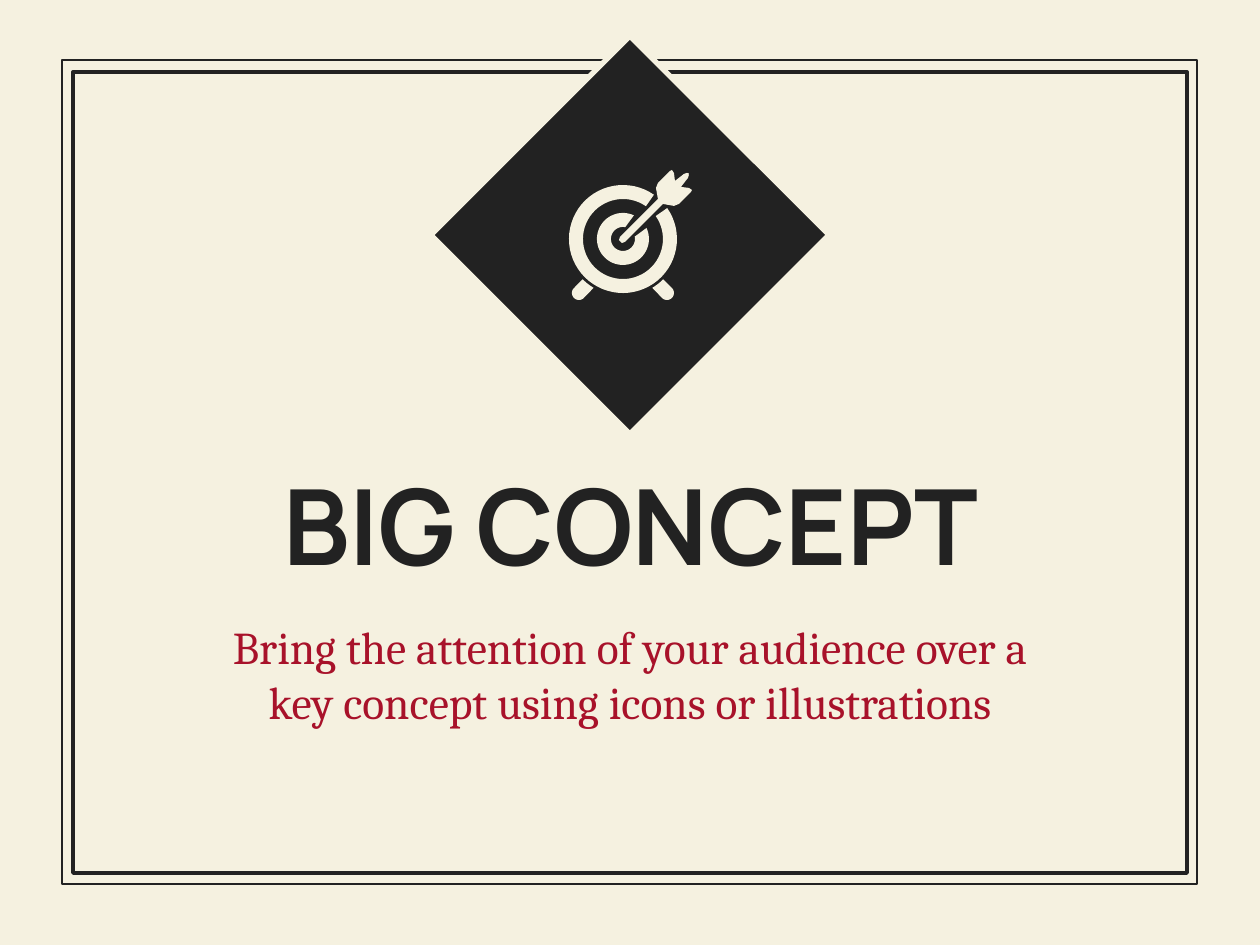
from dataclasses import dataclass
from math import cos, radians, sin

from pptx import Presentation
from pptx.dml.color import RGBColor
from pptx.enum.shapes import MSO_SHAPE as SHAPE
from pptx.enum.text import MSO_ANCHOR as ANCHOR, MSO_AUTO_SIZE as FIT, PP_ALIGN as ALIGN
from pptx.util import Emu, Pt

W, H = 1260, 945
CX, CY = 623, 239


def px(v):
    """Turn pixels into EMU."""
    return Emu(round(v * 914400 / 126))


def color(value):
    """Turn a hex string into a colour."""
    return RGBColor.from_string(value)


def arc(r, start, end, cx=CX, cy=CY, steps=60):
    """Return points along an arc, with angles in degrees clockwise from east."""
    angles = [radians(start + (end - start) * i / steps) for i in range(steps + 1)]
    return [(cx + r * cos(a), cy + r * sin(a)) for a in angles]


def ring(outer, inner, outer_gap, inner_gap):
    """Return a ring that is open towards the upper right."""
    return (arc(outer, -45 + outer_gap, 315 - outer_gap)
            + arc(inner, 315 - inner_gap, -45 + inner_gap))


def leg():
    """Return the left leg of the target stand."""
    return arc(57, 121, 135) + arc(7, 225, 45, CX - 44, CY + 54)


def mirror(points):
    """Reflect points across the vertical axis of the target."""
    return [(2 * CX - x, y) for x, y in points]


def arrow():
    """Return the arrow, symmetric about the rising diagonal."""
    half = [(-4, 1), (-3, -2), (35, -40), (33, -51), (35, -56), (47, -68), (49, -69),
            (51, -66), (52, -58), (61, -65), (64, -66), (66, -65)]
    whole = half + [(-y, -x) for x, y in reversed(half)]
    return [(CX + x, CY + y) for x, y in whole]


@dataclass
class Deck:
    """Hold the style and the current slide."""
    s: object
    ink: str = "222222"
    paper: str = "F5F1E0"
    accent: str = "A8122A"
    head_font: str = "Manrope"
    body_font: str = "Cambria"

    def background(self):
        """Fill the slide with the paper colour."""
        fill = self.s.background.fill
        fill.solid()
        fill.fore_color.rgb = color(self.paper)

    def shape(self, kind, box, line, width, fill=None):
        """Add an outlined preset shape."""
        sp = self.s.shapes.add_shape(kind, *map(px, box))
        sp.shadow.inherit = False
        sp.line.color.rgb = color(line)
        sp.line.width = Pt(width)
        if fill:
            sp.fill.solid()
            sp.fill.fore_color.rgb = color(fill)
        else:
            sp.fill.background()

    def icon(self, outlines):
        """Add a group of closed outlines in the paper colour."""
        group = self.s.shapes.add_group_shape()
        for points in outlines:
            start, *rest = [(px(x), px(y)) for x, y in points]
            builder = group.shapes.build_freeform(*start)
            builder.add_line_segments(rest, close=True)
            sp = builder.convert_to_shape()
            sp.shadow.inherit = False
            sp.fill.solid()
            sp.fill.fore_color.rgb = color(self.paper)
            sp.line.fill.background()

    def text(self, sp, box, text, size, font, ink, anchor, bold=False):
        """Place a placeholder and write one centred paragraph in it."""
        sp.left, sp.top, sp.width, sp.height = map(px, box)
        tf = sp.text_frame
        tf.word_wrap = True
        tf.auto_size = FIT.NONE
        tf.vertical_anchor = anchor
        tf.margin_left = tf.margin_top = tf.margin_right = tf.margin_bottom = px(13)
        p = tf.paragraphs[0]
        p.alignment = ALIGN.CENTER
        p.space_before = Pt(0)
        r = p.add_run()
        r.text = text
        r.font.size = Pt(size)
        r.font.name = font
        r.font.bold = bold
        r.font.color.rgb = color(ink)


def main():
    """Build the slide and save it."""
    prs = Presentation()
    prs.slide_width, prs.slide_height = px(W), px(H)
    deck = Deck(prs.slides.add_slide(prs.slide_layouts[0]))
    title, subtitle = deck.s.placeholders
    deck.background()
    for box, width in (((62, 60, 1135, 824), 0.75), ((73, 72, 1114, 801), 2.25)):
        deck.shape(SHAPE.RECTANGLE, box, deck.ink, width)
    deck.text(title, (199, 417, 863, 213), "BIG CONCEPT", 60,
              deck.head_font, deck.ink, ANCHOR.MIDDLE, bold=True)
    deck.text(subtitle, (199, 606, 863, 144),
              "Bring the attention of your audience over a key concept "
              "using icons or illustrations",
              26, deck.body_font, deck.accent, ANCHOR.TOP)
    deck.shape(SHAPE.DIAMOND, (431, 36, 398, 398), deck.paper, 3, deck.ink)
    deck.icon([ring(54, 40, 10, 10), ring(26, 12, 20, 34),
               leg(), mirror(leg()), arrow()])
    prs.save("out.pptx")


if __name__ == "__main__":
    main()
